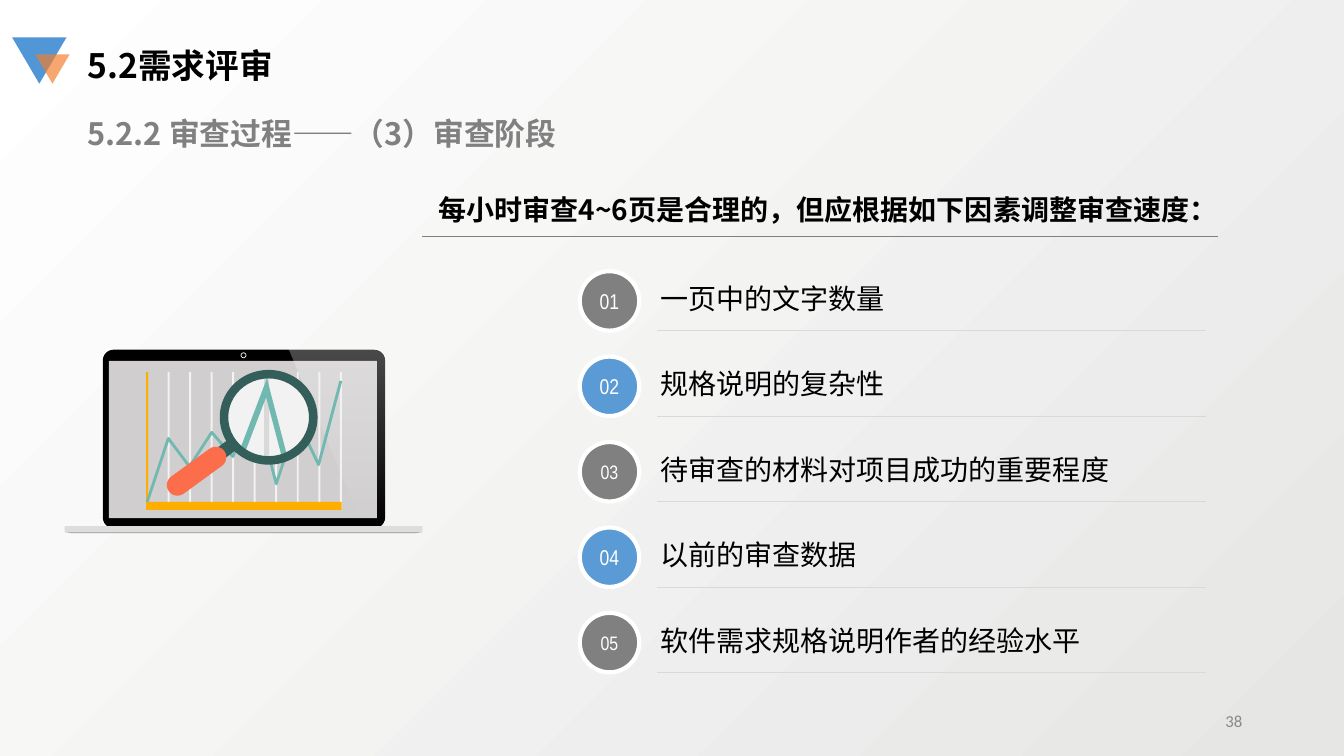
from lxml import etree
from pptx import Presentation
from pptx.dml.color import RGBColor
from pptx.enum.shapes import MSO_CONNECTOR, MSO_SHAPE
from pptx.enum.text import MSO_ANCHOR, PP_ALIGN
from pptx.oxml.ns import qn
from pptx.util import Inches, Pt

TOP, MIDDLE = MSO_ANCHOR.TOP, MSO_ANCHOR.MIDDLE
LEFT, CENTER, RIGHT = PP_ALIGN.LEFT, PP_ALIGN.CENTER, PP_ALIGN.RIGHT
RECTANGLE, ROUNDED = MSO_SHAPE.RECTANGLE, MSO_SHAPE.ROUNDED_RECTANGLE
OVAL, DONUT = MSO_SHAPE.OVAL, MSO_SHAPE.DONUT
TRIANGLE, TRAPEZOID = MSO_SHAPE.ISOSCELES_TRIANGLE, MSO_SHAPE.TRAPEZOID
STRAIGHT = MSO_CONNECTOR.STRAIGHT

BLACK = RGBColor(0x00, 0x00, 0x00)
WHITE = RGBColor(0xFF, 0xFF, 0xFF)
BACKDROP = RGBColor(0xE6, 0xE6, 0xE5)
GRAY = RGBColor(0x80, 0x80, 0x80)
NUMBER_GRAY = RGBColor(0x89, 0x89, 0x89)
RULE_GRAY = RGBColor(0xD9, 0xD9, 0xD9)
BASE_GRAY = RGBColor(0xDD, 0xDD, 0xDD)
SCREEN = RGBColor(0xD0, 0xCE, 0xCE)
PALE = RGBColor(0xF2, 0xF2, 0xF2)
BLUE = RGBColor(0x5B, 0x9B, 0xD5)
MARK_BLUE = RGBColor(0x51, 0x97, 0xD7)
MARK_ORANGE = RGBColor(0xF3, 0x7D, 0x2A)
AMBER = RGBColor(0xFF, 0xAE, 0x00)
TEAL = RGBColor(0x71, 0xB8, 0xB0)
DARK_TEAL = RGBColor(0x33, 0x5E, 0x59)
CORAL = RGBColor(0xFC, 0x6E, 0x4B)

CJK = "Noto Sans CJK SC"
TITLE = {"name": CJK, "size": Pt(24), "bold": True}
SUBTITLE = {"name": CJK, "size": Pt(22), "bold": True}
HEADING = {"name": CJK, "size": Pt(20), "bold": True}
FACTOR = {"name": "Calibri", "size": Pt(20)}
PAGE = {"name": "Calibri", "size": Pt(12)}

FACTORS = [
    ("01", "一页中的文字数量", 15.3),
    ("02", "规格说明的复杂性", 15.3),
    ("03", "待审查的材料对项目成功的重要程度", 13.9),
    ("04", "以前的审查数据", 15.3),
    ("05", "软件需求规格说明作者的经验水平", 13.9),
]
TREND = [(0.82, 1.52), (1.03, 0.89), (1.24, 1.17), (1.46, 0.83), (1.67, 1.07),
         (1.88, 0.5), (2.1, 1.34), (2.31, 0.71), (2.52, 1.15), (2.74, 0.32)]
MAGNIFIED = [(1.74, 1), (2.01, 0.29), (2.03, 0.38), (2.21, 1.07),
             (2.16, 1.09), (2, 0.48), (1.79, 1.03)]
GLARE = [(2.22, 0), (3.08, 0), (3.15, 0.03), (3.18, 0.1),
         (3.18, 1.68), (3.15, 1.75), (3.08, 1.78), (2.97, 1.78)]


def write(holder, text, style, color, align=LEFT, anchor=TOP, spacing=1.0):
    frame = holder.text_frame
    for name, value in {"word_wrap": True, "vertical_anchor": anchor}.items():
        setattr(frame, name, value)
    paragraph = frame.paragraphs[0]
    layout = {"alignment": align, "line_spacing": spacing, "space_before": Pt(0)}
    for name, value in layout.items():
        setattr(paragraph, name, value)
    run = paragraph.add_run()
    run.text = text
    for name, value in style.items():
        setattr(run.font, name, value)
    run.font.color.rgb = color
    east_asian = etree.SubElement(run.font._element, qn("a:ea"))
    east_asian.set("typeface", CJK)


def place(holder, left, top, width, height):
    box = {"left": left, "top": top, "width": width, "height": height}
    for name, value in box.items():
        setattr(holder, name, Inches(value))


def label(parent, box, text, style, color, **layout):
    caption = parent.shapes.add_textbox(*map(Inches, box))
    write(caption, text, style, color, **layout)


def solid(parent, preset, box, color, rotation=0, adjust=None):
    part = parent.shapes.add_shape(preset, *map(Inches, box))
    part.shadow.inherit = False
    part.fill.solid()
    part.fill.fore_color.rgb = color
    part.line.fill.background()
    part.rotation = rotation
    if adjust is not None:
        part.adjustments[0] = adjust
    return part


def outline(parent, left, top, points, closed):
    corners = [(Inches(left + x), Inches(top + y)) for x, y in points]
    builder = parent.shapes.build_freeform(*corners[0], scale=1.0)
    builder.add_line_segments(corners[1:], close=closed)
    part = builder.convert_to_shape()
    part.shadow.inherit = False
    part.line.fill.background()
    return part


def fade(part, *percents):
    colors = part._element.spPr.iter(qn("a:srgbClr"))
    for color, percent in zip(colors, percents):
        etree.SubElement(color, qn("a:alpha")).set("val", str(percent * 1000))


def rule(parent, left, top, width, color, weight):
    ends = map(Inches, (left, top, left + width, top))
    line = parent.shapes.add_connector(STRAIGHT, *ends)
    line.line.color.rgb = color
    line.line.width = Pt(weight)
    etree.SubElement(line._element.spPr, qn("a:effectLst"))


def add_header(slide, left, top):
    mark = slide.shapes.add_group_shape()
    solid(mark, TRIANGLE, (left, top, 0.54, 0.46), MARK_BLUE, 180)
    accent = solid(mark, TRIANGLE, (left + 0.23, top + 0.17, 0.34, 0.29), MARK_ORANGE, 180)
    fade(accent, 68)
    title, subtitle = slide.placeholders
    place(title, left + 0.65, top + 0.03, 3.35, 0.5)
    write(title, "5.2需求评审", TITLE, BLACK)
    place(subtitle, left + 0.65, top + 0.72, 5.06, 0.47)
    properties = subtitle.text_frame.paragraphs[0]._p.get_or_add_pPr()
    for name in ("marL", "indent"):
        properties.set(name, "0")
    etree.SubElement(properties, qn("a:buNone"))
    write(subtitle, "5.2.2 审查过程——（3）审查阶段", SUBTITLE, GRAY)


def add_laptop(slide, left, top):
    laptop = slide.shapes.add_group_shape()
    solid(laptop, ROUNDED, (left + 0.37, top, 2.81, 1.78), WHITE, adjust=0.06)
    solid(laptop, ROUNDED, (left + 0.38, top + 0.01, 2.8, 1.77), BLACK, adjust=0.06)
    camera = solid(laptop, OVAL, (left + 1.75, top + 0.04, 0.05, 0.05), BLACK)
    camera.line.color.rgb = WHITE
    camera.line.width = Pt(0.5)
    solid(laptop, TRAPEZOID, (left, top + 1.82, 3.55, 0.01), GRAY, 180, 8.14)
    solid(laptop, RECTANGLE, (left, top + 1.76, 3.55, 0.06), BASE_GRAY)
    solid(laptop, RECTANGLE, (left + 0.44, top + 0.12, 2.66, 1.56), SCREEN)
    glare = outline(laptop, left, top, GLARE, True)
    glare.fill.gradient()
    glare.fill.gradient_angle = 270
    for stop in glare.fill.gradient_stops:
        stop.color.rgb = WHITE
    fade(glare, 30, 0)
    for column in range(1, 10):
        grid_left = left + 0.81 + column * 1.92 / 9
        solid(laptop, RECTANGLE, (grid_left, top + 0.23, 0.02, 1.37), PALE)
    solid(laptop, RECTANGLE, (left + 0.81, top + 1.52, 1.94, 0.08), AMBER)
    solid(laptop, RECTANGLE, (left + 0.81, top + 0.23, 0.02, 1.37), AMBER)
    trend = outline(laptop, left, top, TREND, False)
    trend.fill.background()
    trend.line.color.rgb = TEAL
    trend.line.width = Pt(2)
    add_magnifier(laptop, left, top)


def add_magnifier(laptop, left, top):
    solid(laptop, OVAL, (left + 1.6, top + 0.26, 0.85, 0.86), PALE)
    solid(laptop, RECTANGLE, (left + 1.98, top + 0.26, 0.05, 0.84), RULE_GRAY)
    peak = outline(laptop, left, top, MAGNIFIED, True)
    peak.fill.solid()
    peak.fill.fore_color.rgb = TEAL
    solid(laptop, DONUT, (left + 1.54, top + 0.21, 0.97, 0.94), DARK_TEAL, adjust=0.09)
    solid(laptop, RECTANGLE, (left + 1.27, top + 1.01, 0.46, 0.13), DARK_TEAL, -37)
    solid(laptop, ROUNDED, (left + 0.97, top + 1.11, 0.68, 0.21), CORAL, -36, 0.5)


def add_factors(slide, left, top, height):
    pitch = height / (len(FACTORS) - 1)
    for index, (number, factor, size) in enumerate(FACTORS):
        row_top = top + index * pitch
        row = slide.shapes.add_group_shape()
        badge = solid(row, OVAL, (left, row_top, 0.59, 0.59), (GRAY, BLUE)[index % 2])
        badge.line.color.rgb = WHITE
        badge.line.width = Pt(3)
        for side in ("left", "right", "top", "bottom"):
            setattr(badge.text_frame, f"margin_{side}", 0)
        numeral = {"name": "Arial Narrow", "size": Pt(size)}
        write(badge, number, numeral, WHITE, align=CENTER, anchor=MIDDLE)
        label(row, (left + 0.7, row_top + 0.09, 5.58, 0.4), factor, FACTOR, BLACK, spacing=0.9)
        rule(row, left + 0.77, row_top + 0.59, 5.44, RULE_GRAY, 0.25)


def main():
    deck = Presentation()
    deck.slide_width, deck.slide_height = Inches(13.33), Inches(7.5)
    slide = deck.slides.add_slide(deck.slide_layouts[1])
    backdrop = slide.background.fill
    backdrop.gradient()
    backdrop.gradient_angle = 135
    for stop, color in zip(backdrop.gradient_stops, (BACKDROP, WHITE)):
        stop.color.rgb = color
    add_header(slide, 0.12, 0.37)
    label(slide, (4.25, 1.53, 7.83, 0.65), "每小时审查4~6页是合理的，但应根据如下因素调整审查速度：",
          HEADING, BLACK, spacing=2.0)
    rule(slide, 4.19, 2.35, 7.89, GRAY, 0.75)
    add_laptop(slide, 0.64, 3.46)
    add_factors(slide, 5.75, 2.69, 3.39)
    label(slide, (9.42, 6.95, 3, 0.4), "38", PAGE, NUMBER_GRAY, align=RIGHT, anchor=MIDDLE)
    deck.save("out.pptx")


if __name__ == "__main__":
    main()
